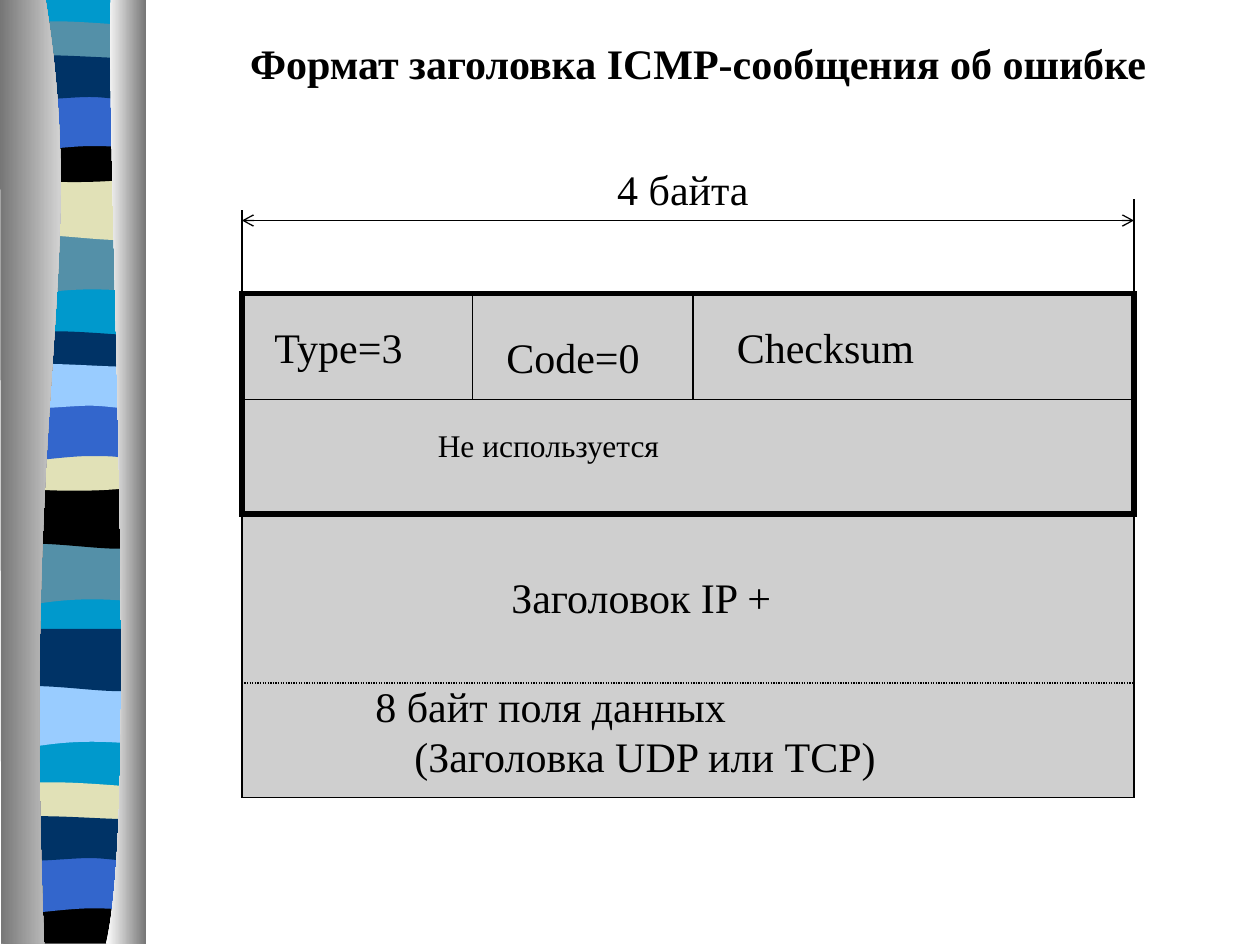
from pptx import Presentation
from pptx.dml.color import RGBColor
from pptx.enum.dml import MSO_LINE
from pptx.enum.shapes import MSO_CONNECTOR, MSO_SHAPE
from pptx.enum.text import MSO_ANCHOR, PP_ALIGN
from pptx.oxml.ns import qn
from pptx.util import Inches, Pt
from lxml import etree

BLACK = RGBColor(0x00, 0x00, 0x00)
WHITE = RGBColor(0xFF, 0xFF, 0xFF)
GREY = RGBColor(0x76, 0x76, 0x76)
CELL = RGBColor(0xCF, 0xCF, 0xCF)
CYAN = RGBColor(0x00, 0x99, 0xCC)
TEAL = RGBColor(0x54, 0x90, 0xA8)
SAND = RGBColor(0xE1, 0xE1, 0xB7)
BLUE = RGBColor(0x33, 0x66, 0xCC)
NAVY = RGBColor(0x00, 0x33, 0x66)
SKY = RGBColor(0x99, 0xCC, 0xFF)
FONT = "Times New Roman"

prs = Presentation()
prs.slide_width, prs.slide_height = Inches(10), Inches(7.5)
s = prs.slides.add_slide(prs.slide_layouts[5])


def add_outline(segments, top=0):
    """Closed outline; a segment is one point (line) or three (cubic curve)."""
    points = [(Inches(x), Inches(y + top)) for seg in segments for x, y in seg]
    fb = s.shapes.build_freeform(*points[0])
    fb.add_line_segments(points[1:])
    sp = fb.convert_to_shape()
    lines = iter(list(sp._element.iter(qn("a:lnTo"))))
    for seg in segments[1:]:
        parts = [next(lines) for _ in seg]
        if len(seg) == 3:
            curve = etree.Element(qn("a:cubicBezTo"))
            parts[0].addprevious(curve)
            for part in parts:
                curve.append(part[0])
                part.getparent().remove(part)
    sp.shadow.inherit = False
    sp.line.fill.background()
    return sp


def add_text(tf, lines, align):
    tf.word_wrap = True
    tf.vertical_anchor = MSO_ANCHOR.TOP
    for i, (text, size, bold) in enumerate(lines):
        p = tf.paragraphs[0] if i == 0 else tf.add_paragraph()
        p.text = text
        p.alignment = align
        p.space_before = Pt(0)
        p.font.name, p.font.size, p.font.bold = FONT, Pt(size), bold
        p.font.color.rgb = BLACK


# Ribbon bands: outlines relative to the top right corner of each band
LEFT, RIGHT = 0.05, 1.13
corner = [(LEFT, 0)]
start = [(RIGHT, 0)]
WAVE = [start, [(RIGHT, .47)], [(.38, .39), (.23, .55), (LEFT, .47)], corner]
SWELL = [start, [(RIGHT, .47)], [(.95, .55), (.38, .41), (LEFT, .47)], corner]
LENS = [start, [(RIGHT, .24)], [(.95, .28), (.23, .28), (LEFT, .24)], corner,
        [(.11, -.05), (.28, -.04), (.46, -.04)], [(.64, -.04), (.99, -.01), (RIGHT, 0)]]
DIP = [(.71, .05), (.9, 0), (RIGHT, 0)]
SAG = [start, [(RIGHT, .32)], [(.95, .38), (.23, .38), (LEFT, .32)], corner, DIP]
FOOT = [start, [(RIGHT, .37)], [(LEFT, .37)], corner, DIP]
ARCH = [start, [(RIGHT, .47)], [(.96, .42), (.89, .42), (.71, .42)],
        [(.53, .42), (.21, .47), (LEFT, .47)], corner]
RIPPLE = [start, [(RIGHT, .31)], [(1.06, .36), (.89, .31), (.71, .31)],
          [(.53, .31), (.16, .36), (LEFT, .31)], corner,
          [(.2, -.05), (.78, 0), (.96, 0)], [(1.14, 0), (1.1, 0), (RIGHT, 0)]]
BASE = [start, [(RIGHT, 7.48)], [(LEFT, 7.48)], corner]

for outline, top, colour in [
    (BASE, -0.01, CYAN),
    (WAVE, 1.85, TEAL), (SWELL, 1.41, SAND), (LENS, 0.21, TEAL),
    (SAG, 1.08, BLACK), (ARCH, 0.74, BLUE), (RIPPLE, 0.46, NAVY),
    (WAVE, 4.31, TEAL), (SWELL, 3.86, BLACK), (LENS, 2.67, NAVY),
    (SAG, 3.53, SAND), (ARCH, 3.2, BLUE), (RIPPLE, 2.91, SKY),
    (WAVE, 5.44, SKY), (SWELL, 4.99, NAVY), (LENS, 6.25, SAND),
    (FOOT, 7.12, BLACK), (ARCH, 6.79, BLUE), (RIPPLE, 6.5, NAVY),
]:
    sp = add_outline(outline, top)
    sp.fill.solid()
    sp.fill.fore_color.rgb = colour

# Grey curtains on both sides of the ribbon
for outline, colours in [
    ([[(.36, -.01)], [(.71, 2.16), (.17, 2.96), (.35, 7.49)], [(.01, 7.49)], [(0, -.01)]],
     (GREY, WHITE)),
    ([[(.88, -.01)], [(.84, 1.25), (1.11, 6.46), (.84, 7.49)], [(1.16, 7.49)], [(1.16, 0)]],
     (WHITE, GREY)),
]:
    sp = add_outline(outline)
    sp.fill.gradient()
    sp.fill.gradient_angle = 0
    for stop, colour, position in zip(sp.fill.gradient_stops, colours, (0, 1)):
        stop.color.rgb, stop.position = colour, position

# Title
title = s.shapes.title
title.left, title.top = Inches(1.5), Inches(0.25)
title.width, title.height = Inches(8.08), Inches(0.5)
add_text(title.text_frame, [("Формат заголовка ICMP-сообщения об ошибке", 24, True)],
         PP_ALIGN.CENTER)

# Message body, and the thick frame around the ICMP header
X0, X1 = 1.92, 9
TOP, ROW, HEADER_END, DATA, BOTTOM = 2.33, 3.17, 4.08, 5.42, 6.33
for bottom, fill, width in [(BOTTOM, CELL, 0.75), (HEADER_END, None, 3)]:
    sp = s.shapes.add_shape(MSO_SHAPE.RECTANGLE, Inches(X0), Inches(TOP),
                            Inches(X1 - X0), Inches(bottom - TOP))
    sp.shadow.inherit = False
    sp.line.color.rgb, sp.line.width = BLACK, Pt(width)
    etree.SubElement(sp.line._get_or_add_ln(), qn("a:miter"), lim="800000")
    if fill is None:
        sp.fill.background()
    else:
        sp.fill.solid()
        sp.fill.fore_color.rgb = fill

# Field dividers, extension lines and the width arrow
for x0, y0, x1, y1, kind in [
    (X0, HEADER_END, X1, HEADER_END, ""),
    (X0, ROW, X1, ROW, ""),
    (5.5, TOP, 5.5, ROW, ""),
    (3.75, TOP, 3.75, ROW, ""),
    (X0, 1.67, X0, 3.67, ""),
    (X1, 1.58, X1, 3.58, ""),
    (X0, 1.75, X1, 1.75, "arrow"),
    (X0, DATA, X1, DATA, "dotted"),
]:
    c = s.shapes.add_connector(MSO_CONNECTOR.STRAIGHT, Inches(x0), Inches(y0),
                               Inches(x1), Inches(y1))
    c.line.color.rgb, c.line.width = BLACK, Pt(0.75)
    if kind == "dotted":
        c.line.dash_style = MSO_LINE.ROUND_DOT
    if kind == "arrow":
        for end in ("a:headEnd", "a:tailEnd"):
            etree.SubElement(c.line._get_or_add_ln(), qn(end), type="arrow")
    etree.SubElement(c._element.spPr, qn("a:effectLst"))

# Field labels
for text, x, y, w, h, size, align in [
    ("4 байта", 3.67, 1.25, 3.5, 0.5, 24, PP_ALIGN.CENTER),
    ("Type=3", 2.08, 2.5, 1.58, 0.5, 24, PP_ALIGN.LEFT),
    ("Code=0", 3.92, 2.58, 1.42, 0.5, 24, PP_ALIGN.LEFT),
    ("Checksum", 5.75, 2.5, 2.83, 0.5, 24, PP_ALIGN.LEFT),
    ("Не используется", 2.08, 3.33, 3.25, 0.4, 18, PP_ALIGN.RIGHT),
]:
    tb = s.shapes.add_textbox(Inches(x), Inches(y), Inches(w), Inches(h))
    add_text(tb.text_frame, [(text, size, False)], align)

# Data part of the message: second paragraph has a hanging first line
tb = s.shapes.add_textbox(Inches(2.17), Inches(4.08), Inches(5.92), Inches(2.16))
tf = tb.text_frame
tf.margin_top = Inches(0.46)
add_text(tf, [("Заголовок IP + ", 24, False),
              ("8 байт поля данных\v(Заголовка UDP или TCP)", 24, False)], PP_ALIGN.CENTER)
p = tf.paragraphs[1]
p.alignment, p.space_before = PP_ALIGN.LEFT, Pt(33)
pPr = p._p.get_or_add_pPr()
pPr.set("marL", str(Inches(1.02)))
pPr.set("indent", str(Inches(-0.31)))

prs.save("out.pptx")
